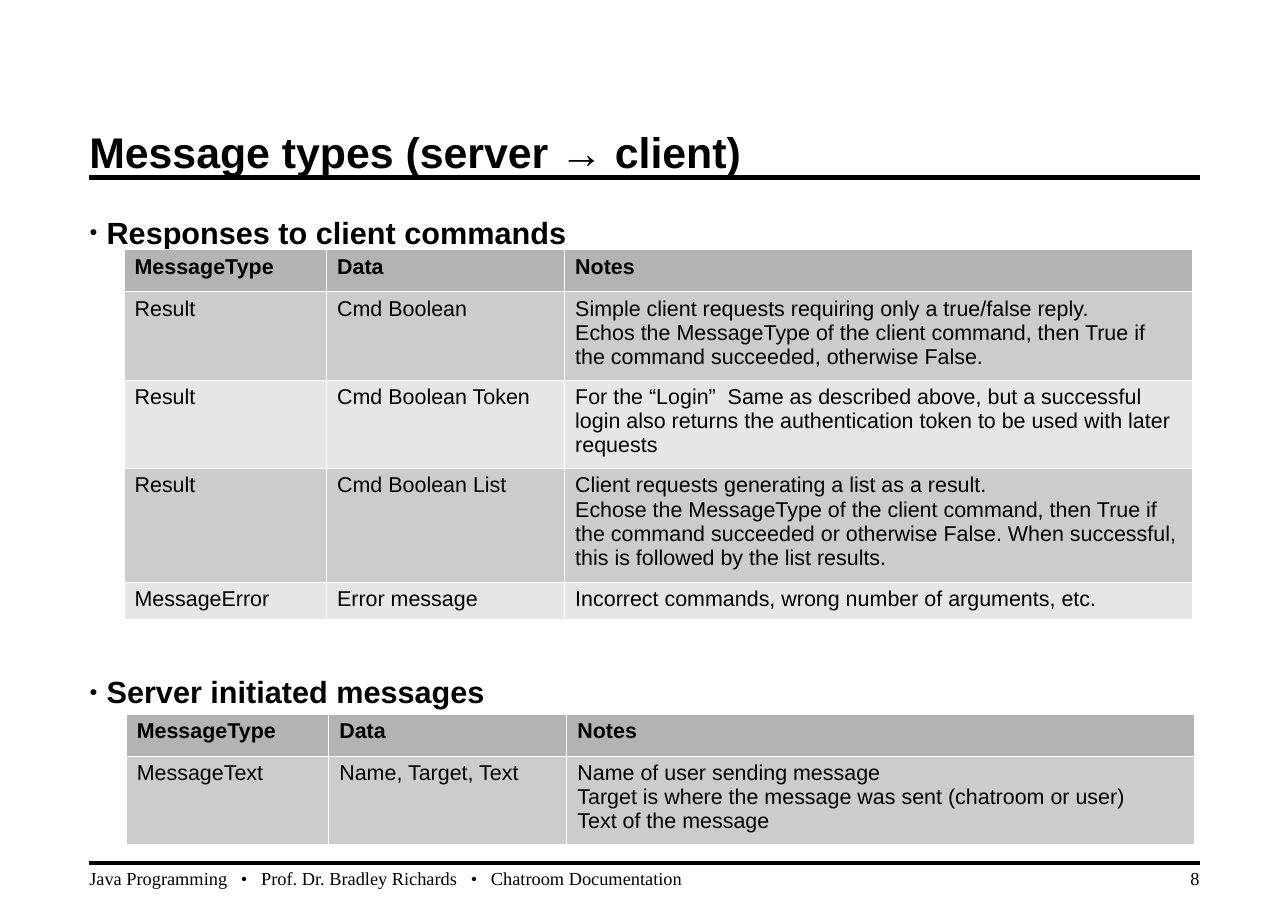
import pptx
import pptx.util
import pptx.dml.color
import pptx.enum.shapes
import pptx.enum.text
import pptx.oxml
import pptx.oxml.ns

Cm, Pt = pptx.util.Cm, pptx.util.Pt
qn = pptx.oxml.ns.qn
rgb = pptx.dml.color.RGBColor.from_string
Align, Anchor = pptx.enum.text.PP_ALIGN, pptx.enum.text.MSO_ANCHOR
hues = {"ink": "000000", "edge": "FFFFFF", "head": "B3B3B3", "odd": "CCCCCC", "even": "E6E6E6"}
space = 'xmlns:a="http://schemas.openxmlformats.org/drawingml/2006/main"'


def write(frame, text, size=14, font="Arial", bold=False, align=Align.LEFT):
    frame.word_wrap = True
    frame.text = text
    for para in frame.paragraphs:
        para.alignment = align
        for run in para.runs:
            run.font.size = Pt(size)
            run.font.name = font
            run.font.bold = bold
            run.font.color.rgb = rgb(hues["ink"])


def box(left, top, width, height, text, anchor=Anchor.TOP, **style):
    frame = slide.shapes.add_textbox(Cm(left), Cm(top), Cm(width), Cm(height)).text_frame
    frame.margin_left = frame.margin_right = frame.margin_top = frame.margin_bottom = 0
    frame.vertical_anchor = anchor
    write(frame, text, **style)
    return frame


deck = pptx.Presentation()
deck.slide_width, deck.slide_height = Cm(29.7), Cm(21)
slide = deck.slides.add_slide(deck.slide_layouts[6])
left, wide = 2.06, 25.6

for top in (4.09, 19.89):
    rule = slide.shapes.add_connector(
        pptx.enum.shapes.MSO_CONNECTOR.STRAIGHT, Cm(left), Cm(top), Cm(left + wide), Cm(top))
    rule.line.width = Pt(3)
    rule.line.color.rgb = rgb(hues["ink"])
    rule._element.spPr.append(pptx.oxml.parse_xml(f"<a:effectLst {space}/>"))

box(left, 2.95, wide, 1.09, "Message types (server → client)", Anchor.MIDDLE, size=28, bold=True)

for top, text in ((4.92, "Responses to client commands"), (15.52, "Server initiated messages")):
    para = box(left, top, wide, 0.85, text, size=20, bold=True).paragraphs[0]
    props = para._p.get_or_add_pPr()
    props.set("marL", str(Cm(0.4)))
    props.set("indent", str(-Cm(0.4)))
    for part in ('buSzPct {} val="45000"', 'buFont {} typeface="Arial"', 'buChar {} char="●"'):
        props.append(pptx.oxml.parse_xml(f"<a:{part.format(space)}/>"))

heads = ("MessageType", "Data", "Notes")
replies = [
    heads,
    ("Result", "Cmd Boolean",
     "Simple client requests requiring only a true/false reply.\n"
     "Echos the MessageType of the client command, then True if the command succeeded, "
     "otherwise False."),
    ("Result", "Cmd Boolean Token",
     "For the “Login”  Same as described above, but a successful login also returns "
     "the authentication token to be used with later requests"),
    ("Result", "Cmd Boolean List",
     "Client requests generating a list as a result.\n"
     "Echose the MessageType of the client command, then True if the command succeeded "
     "or otherwise False. When successful, this is followed by the list results."),
    ("MessageError", "Error message", "Incorrect commands, wrong number of arguments, etc."),
]
pushes = [
    heads,
    ("MessageText", "Name, Target, Text",
     "Name of user sending message\n"
     "Target is where the message was sent (chatroom or user)\n"
     "Text of the message"),
]
spans = (4.67, 5.49, 14.48)

for x, y, rows, highs in ((2.85, 5.75, replies, (0.97, 2.03, 2.03, 2.62, 0.85)),
                          (2.9, 16.45, pushes, (0.97, 2.03))):
    grid = slide.shapes.add_table(
        len(rows), len(spans), Cm(x), Cm(y), Cm(sum(spans)), Cm(sum(highs))).table
    for col, span in zip(grid.columns, spans):
        col.width = Cm(span)
    for r, (row, high) in enumerate(zip(rows, highs)):
        grid.rows[r].height = Cm(high)
        shade = "head" if r == 0 else "odd" if r % 2 else "even"
        for c, text in enumerate(row):
            cell = grid.cell(r, c)
            write(cell.text_frame, text, bold=r == 0)
            props = cell._tc.get_or_add_tcPr()
            for side in ("lnL", "lnR", "lnT", "lnB"):
                props.append(pptx.oxml.parse_xml(
                    f'<a:{side} {space} w="720"><a:solidFill><a:srgbClr val="{hues["edge"]}"/>'
                    f"</a:solidFill></a:{side}>"))
            cell.fill.solid()
            cell.fill.fore_color.rgb = rgb(hues[shade])
            props.append(props.find(qn("a:solidFill")))

note = {"anchor": Anchor.BOTTOM, "size": 12, "font": "Times New Roman"}
box(left, 20, 20.8, 0.5,
    "Java Programming   •   Prof. Dr. Bradley Richards   •   Chatroom Documentation", **note)
box(23.01, 20, 4.65, 0.5, "8", align=Align.RIGHT, **note)

deck.save("out.pptx")
